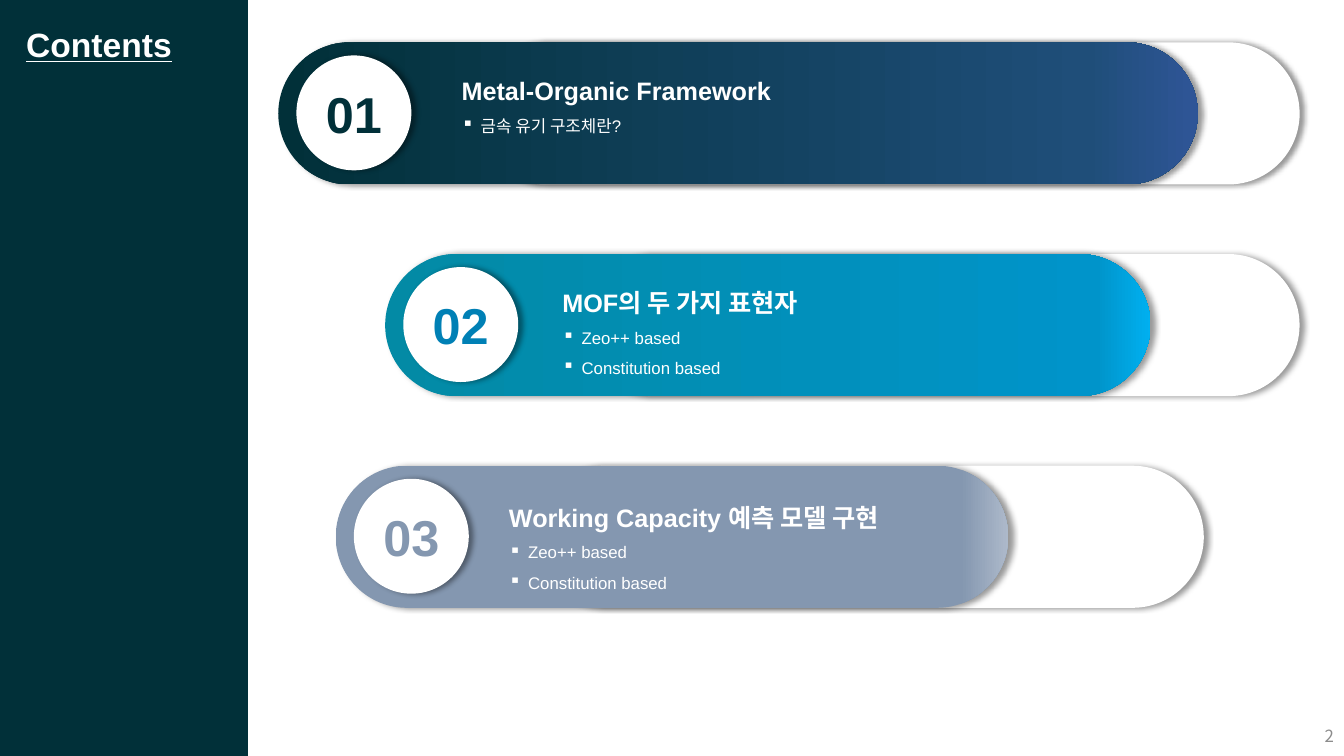
from lxml import etree
from pptx import Presentation
from pptx.dml.color import RGBColor
from pptx.enum.shapes import MSO_SHAPE
from pptx.enum.text import MSO_ANCHOR, MSO_AUTO_SIZE, PP_ALIGN
from pptx.oxml.ns import qn
from pptx.util import Inches, Pt

RECT, PILL, OVAL = MSO_SHAPE.RECTANGLE, MSO_SHAPE.ROUNDED_RECTANGLE, MSO_SHAPE.OVAL
TOP, MIDDLE = MSO_ANCHOR.TOP, MSO_ANCHOR.MIDDLE
LEFT, CENTER, RIGHT, JUSTIFY = PP_ALIGN.LEFT, PP_ALIGN.CENTER, PP_ALIGN.RIGHT, PP_ALIGN.JUSTIFY
GROW = MSO_AUTO_SIZE.SHAPE_TO_FIT_TEXT
LATIN, KOREAN = "Arial", "Noto Sans CJK KR"
NAVY, WHITE, GRAY = "013039", "FFFFFF", "8C8C8C"

FIRST_TOP, ROW_STEP = 0.42, 2.1
BAR_H, CIRCLE = 1.41, 1.14
TRACK_SHIFT = 1.94

# bar left and width, track width, text offset from the bar, number colour, gradient, heading, bullets
SECTIONS = [
    (2.76, 9.12, 8.19, (1.72, 0.13), NAVY,
     [(0, NAVY), (88, "1F4E79"), (100, "2F5597")],
     "Metal-Organic Framework", ["금속 유기 구조체란?"]),
    (3.82, 7.59, 7.13, (1.66, 0.13), "0080B5",
     [(0, "038AA5"), (93, "0094CA"), (100, "00B0F0")],
     "MOF의 두 가지 표현자", ["Zeo++ based", "Constitution based"]),
    (3.33, 6.67, 6.67, (1.62, 0.16), "8497B0",
     [(0, "8497B0"), (93, "8497B0"), (100, "ADB9CA")],
     "Working Capacity 예측 모델 구현", ["Zeo++ based", "Constitution based"]),
]


def rgb(color):
    return RGBColor.from_string(color)


def add_run(p, text, size, color, bold=False, font=LATIN):
    r = p.add_run()
    r.text = text
    r.font.name, r.font.size, r.font.bold = font, Pt(size), bold
    r.font.color.rgb = rgb(color)
    etree.SubElement(r.font._element, qn("a:ea"), typeface=KOREAN)
    return r


def place(sp, x, y, w, h):
    sp.left, sp.top, sp.width, sp.height = (Inches(v) for v in (x, y, w, h))


def add_box(s, x, y, w, h, anchor=TOP):
    tf = s.shapes.add_textbox(*(Inches(v) for v in (x, y, w, h))).text_frame
    tf.word_wrap = True
    tf.vertical_anchor = anchor
    return tf


def add_plain_shape(s, kind, x, y, w, h, color=WHITE):
    sp = s.shapes.add_shape(kind, *(Inches(v) for v in (x, y, w, h)))
    sp.fill.solid()
    sp.fill.fore_color.rgb = rgb(color)
    sp.line.fill.background()
    sp.shadow.inherit = False
    return sp


def add_color(parent, color):
    return etree.SubElement(parent, qn("a:srgbClr"), val=color)


def add_shadow(sp):
    effects = sp.element.spPr.find(qn("a:effectLst"))
    shadow = etree.SubElement(effects, qn("a:outerShdw"), blurRad=str(Pt(4)),
                              dist=str(Pt(3)), dir="0", algn="l", rotWithShape="0")
    etree.SubElement(add_color(shadow, "000000"), qn("a:alpha"), val="40000")


def set_gradient(sp, stops):
    sp.fill.gradient()
    sp.fill.gradient_angle = 0
    gs_list = sp.element.spPr.find(".//" + qn("a:gsLst"))
    gs_list.clear()
    for percent, color in stops:
        add_color(etree.SubElement(gs_list, qn("a:gs"), pos=str(percent * 1000)), color)


def add_pill(s, x, y, w):
    sp = add_plain_shape(s, PILL, x, y, w, BAR_H)
    sp.adjustments[0] = 0.5
    add_shadow(sp)
    return sp


def add_number(s, x, y, text, color):
    sp = add_plain_shape(s, OVAL, x, y, CIRCLE, CIRCLE)
    add_shadow(sp)
    tf = sp.text_frame
    tf.vertical_anchor = MIDDLE
    p = tf.paragraphs[0]
    p.alignment = CENTER
    add_run(p, text, 36, color, bold=True)


def set_bullet(p):
    pPr = p._p.get_or_add_pPr()
    pPr.set("marL", str(Inches(0.19)))
    pPr.set("indent", str(Inches(-0.19)))
    etree.SubElement(pPr, qn("a:buChar"), char="▪")


def add_section_text(s, x, y, heading, bullets):
    tf = add_box(s, x, y, 4.5, 0.56 + 0.3 * len(bullets))
    tf.auto_size = GROW
    for i, text in enumerate([heading, *bullets]):
        p = tf.add_paragraph() if i else tf.paragraphs[0]
        p.alignment, p.line_spacing = JUSTIFY, 1.5
        if i:
            set_bullet(p)
        add_run(p, text, 12 if i else 18, WHITE, bold=not i)


def add_sidebar(s):
    """Dark panel with the slide title on top of it."""
    sidebar = add_plain_shape(s, RECT, 0, 0, 2.46, 7.5, NAVY)
    title = s.shapes.title
    title.element.addprevious(sidebar.element)
    place(title, 0.16, 0.19, 1.66, 0.5)
    tf = title.text_frame
    tf.word_wrap = False
    tf.auto_size = GROW
    tf.vertical_anchor = TOP
    p = tf.paragraphs[0]
    p.alignment = LEFT
    add_run(p, "Contents", 24, WHITE, bold=True).font.underline = True


def add_page_number(s, number):
    p = add_box(s, 10.33, 7.1, 3, 0.4, MIDDLE).paragraphs[0]
    p.alignment = RIGHT
    add_run(p, number, 12, GRAY, font=KOREAN)


def main():
    prs = Presentation()
    prs.slide_width, prs.slide_height = Inches(13.33), Inches(7.5)
    s = prs.slides.add_slide(prs.slide_layouts.get_by_name("Title Only"))
    add_sidebar(s)
    for i, section in enumerate(SECTIONS):
        x, bar_w, track_w, (dx, dy), color, stops, heading, bullets = section
        y = FIRST_TOP + i * ROW_STEP
        add_pill(s, x + TRACK_SHIFT, y, track_w)
        set_gradient(add_pill(s, x, y, bar_w), stops)
        add_number(s, x + 0.18, y + 0.13, f"{i + 1:02}", color)
        add_section_text(s, x + dx, y + dy, heading, bullets)
    add_page_number(s, "2")
    prs.save("out.pptx")


if __name__ == "__main__":
    main()
